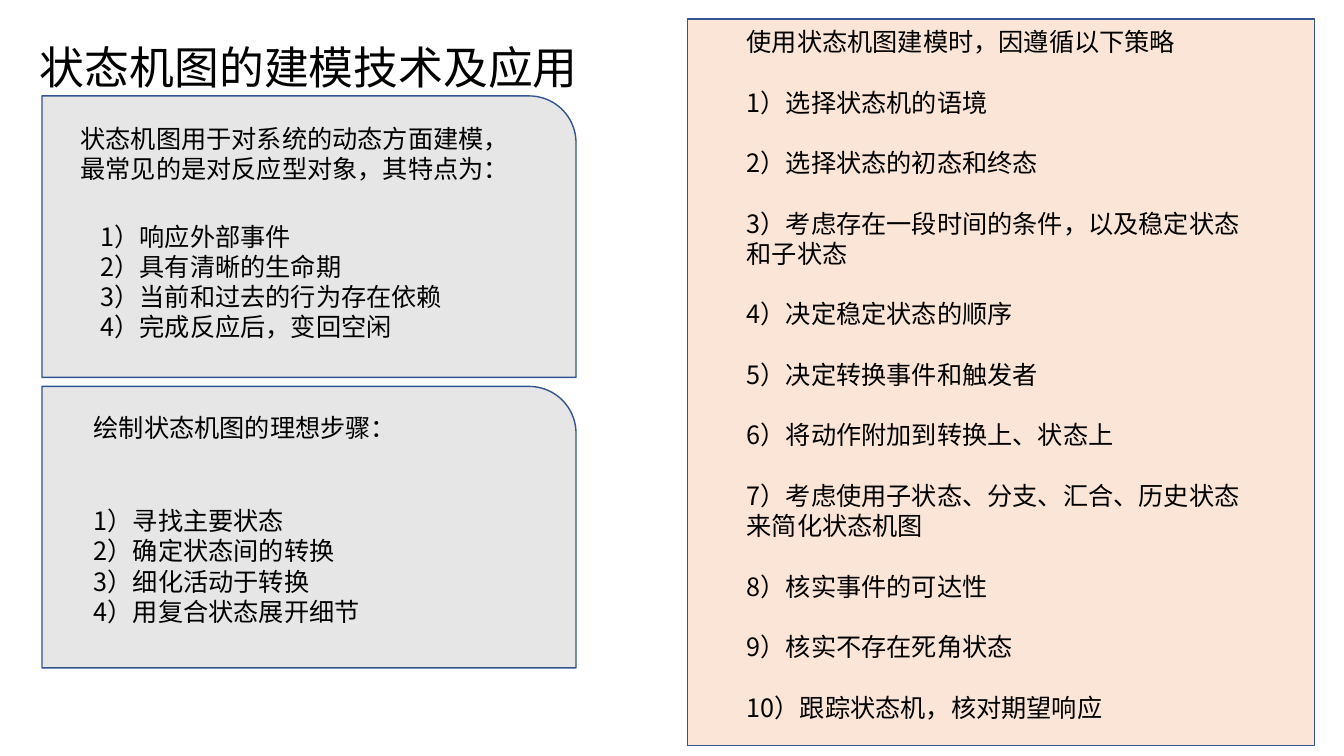
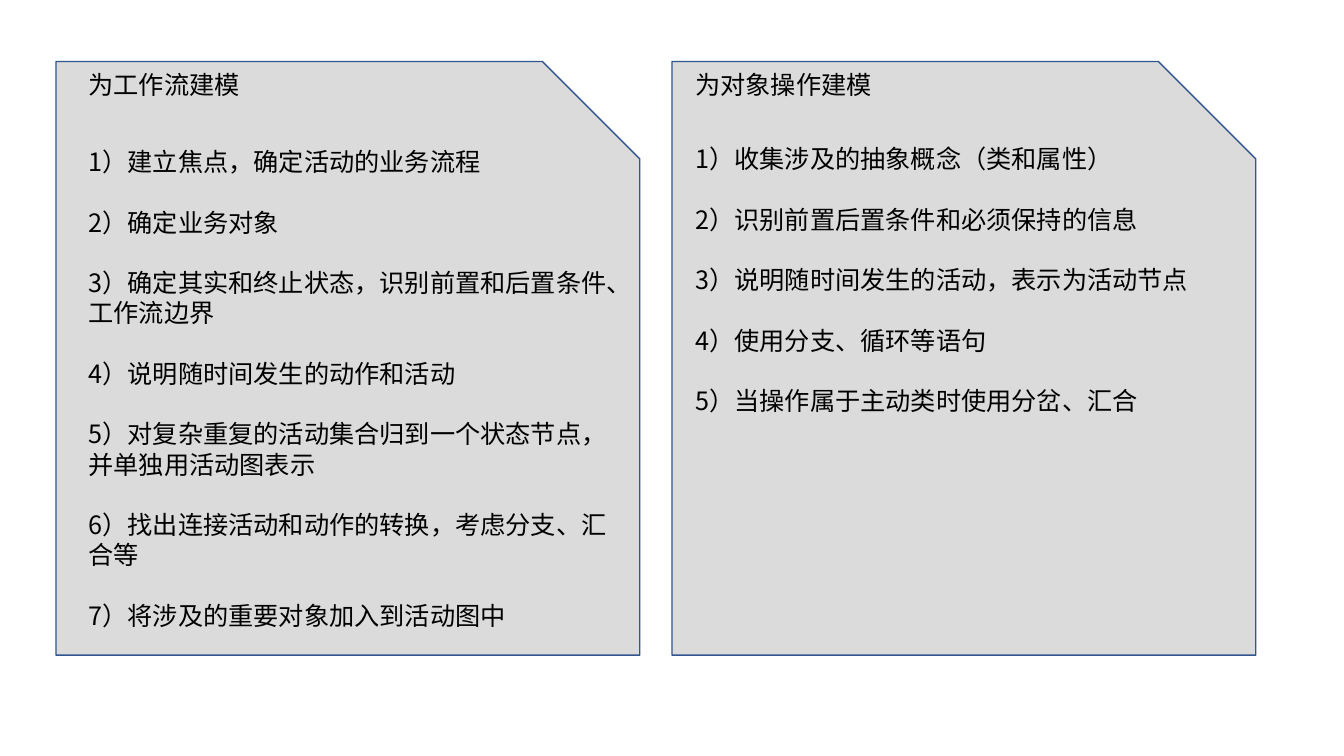
from lxml.etree import SubElement
from pptx import Presentation
from pptx.dml.color import RGBColor
from pptx.enum.shapes import MSO_SHAPE as Preset
from pptx.enum.text import MSO_ANCHOR as Anchor
from pptx.oxml.ns import qn
from pptx.util import Pt

FONT = "Noto Sans CJK SC"
BLACK = RGBColor(0x00, 0x00, 0x00)
OUTLINE = RGBColor(0x32, 0x54, 0x91)
LIGHT_GREY = RGBColor(0xE7, 0xE6, 0xE6)
GREY = RGBColor(0xDB, 0xDB, 0xDB)
PEACH = RGBColor(0xFB, 0xE5, 0xD6)

BODY_SIZE = 18
BODY_LINE = 21.6
TITLE_SIZE = 32
TITLE_LINE = 34.6

FEATURES = ["响应外部事件", "具有清晰的生命期", "当前和过去的行为存在依赖", "完成反应后，变回空闲"]
DRAWING_STEPS = ["寻找主要状态", "确定状态间的转换", "细化活动于转换", "用复合状态展开细节"]
STRATEGIES = [
    "选择状态机的语境",
    "选择状态的初态和终态",
    "考虑存在一段时间的条件，以及稳定状态和子状态",
    "决定稳定状态的顺序",
    "决定转换事件和触发者",
    "将动作附加到转换上、状态上",
    "考虑使用子状态、分支、汇合、历史状态来简化状态机图",
    "核实事件的可达性",
    "核实不存在死角状态",
    "跟踪状态机，核对期望响应",
]
WORKFLOW_STEPS = [
    "建立焦点，确定活动的业务流程",
    "确定业务对象",
    "确定其实和终止状态，识别前置和后置条件、工作流边界",
    "说明随时间发生的动作和活动",
    "对复杂重复的活动集合归到一个状态节点，并单独用活动图表示",
    "找出连接活动和动作的转换，考虑分支、汇合等",
    "将涉及的重要对象加入到活动图中",
]
OPERATION_STEPS = [
    "收集涉及的抽象概念（类和属性）",
    "识别前置后置条件和必须保持的信息",
    "说明随时间发生的活动，表示为活动节点",
    "使用分支、循环等语句",
    "当操作属于主动类时使用分岔、汇合",
]


def add_panel(slide, preset, fill, left, top, width, height):
    panel = slide.shapes.add_shape(preset, Pt(left), Pt(top), Pt(width), Pt(height))
    panel.shadow.inherit = False
    panel.fill.solid()
    panel.fill.fore_color.rgb = fill
    panel.line.color.rgb = OUTLINE
    panel.line.width = Pt(1)


def add_text(slide, lines, left, top, width, height, size=BODY_SIZE,
             line_height=BODY_LINE, gap=0, anchor=Anchor.TOP):
    box = slide.shapes.add_textbox(Pt(left), Pt(top), Pt(width), Pt(height))
    frame = box.text_frame
    frame.word_wrap = True
    frame.vertical_anchor = anchor
    frame.margin_top = Pt(5.3)
    frame.text = "\n".join(lines)
    for paragraph in frame.paragraphs:
        paragraph.line_spacing = Pt(line_height)
        paragraph.space_after = Pt(gap)
        for run in paragraph.runs:
            run.font.size = Pt(size)
            run.font.color.rgb = BLACK
            run.font.name = FONT
            SubElement(run.font._element, qn("a:ea"), typeface=FONT)


def add_title(slide, title):
    add_text(slide, [title], 21.5, 13, 404, 71, TITLE_SIZE, TITLE_LINE, anchor=Anchor.MIDDLE)


def add_steps(slide, steps, left, top, width, height, gap=0):
    numbered = [f"{number}）{step}" for number, step in enumerate(steps, 1)]
    add_text(slide, numbered, left, top, width, height, gap=gap)


def build_state_machine_slide(slide):
    for top in (68.5, 276):
        add_panel(slide, Preset.ROUND_1_RECTANGLE, LIGHT_GREY, 30, top, 381.5, 201)
    add_panel(slide, Preset.RECTANGLE, PEACH, 491, 13.5, 448, 519)
    add_title(slide, "状态机图的建模技术及应用")

    add_text(slide, ["状态机图用于对系统的动态方面建模，最常见的是对反应型对象，其特点为："],
             50.4, 82.8, 304.6, 51)
    add_steps(slide, FEATURES, 64.8, 152.6, 277, 94)

    add_text(slide, ["绘制状态机图的理想步骤："], 59.8, 289.4, 296, 29)
    add_steps(slide, DRAWING_STEPS, 59.8, 355.7, 311, 94)

    add_text(slide, ["使用状态机图建模时，因遵循以下策略"], 526.3, 13.7, 331, 29)
    add_steps(slide, STRATEGIES, 526.3, 56.9, 383.8, 465, gap=BODY_LINE)


def build_activity_slide(slide):
    columns = [
        (40, 56.2, "为工作流建模", WORKFLOW_STEPS, 99.4, 401),
        (480, 489.6, "为对象操作建模", OPERATION_STEPS, 97.2, 391.7),
    ]
    for panel_left, text_left, heading, steps, steps_top, steps_width in columns:
        add_panel(slide, Preset.SNIP_1_RECTANGLE, GREY, panel_left, 44, 417, 424)
        add_text(slide, [heading], text_left, 44, 194, 29)
        add_steps(slide, steps, text_left, steps_top, steps_width, 356, gap=BODY_LINE)


def main():
    deck = Presentation()
    deck.slide_width, deck.slide_height = Pt(960), Pt(540)
    blank = deck.slide_layouts[6]
    for build in (build_state_machine_slide, build_activity_slide):
        build(deck.slides.add_slide(blank))
    deck.save("out.pptx")


if __name__ == "__main__":
    main()
